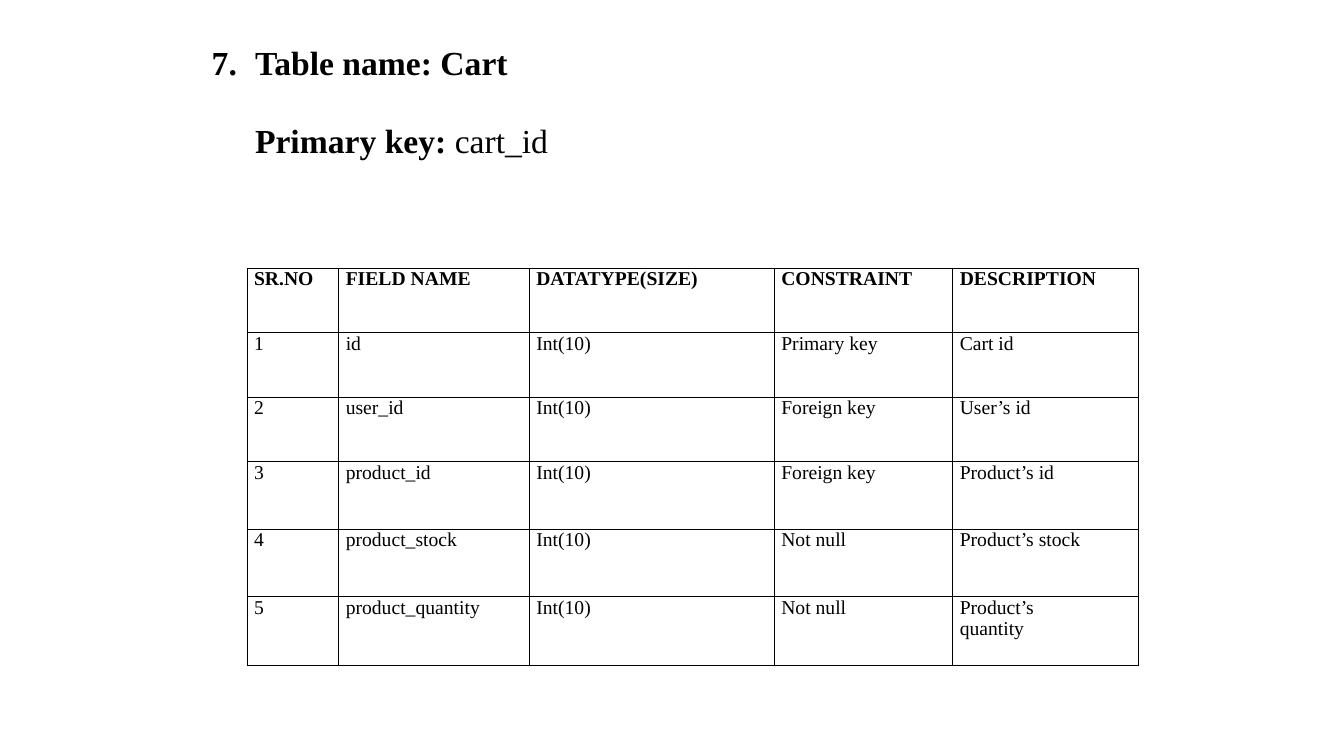
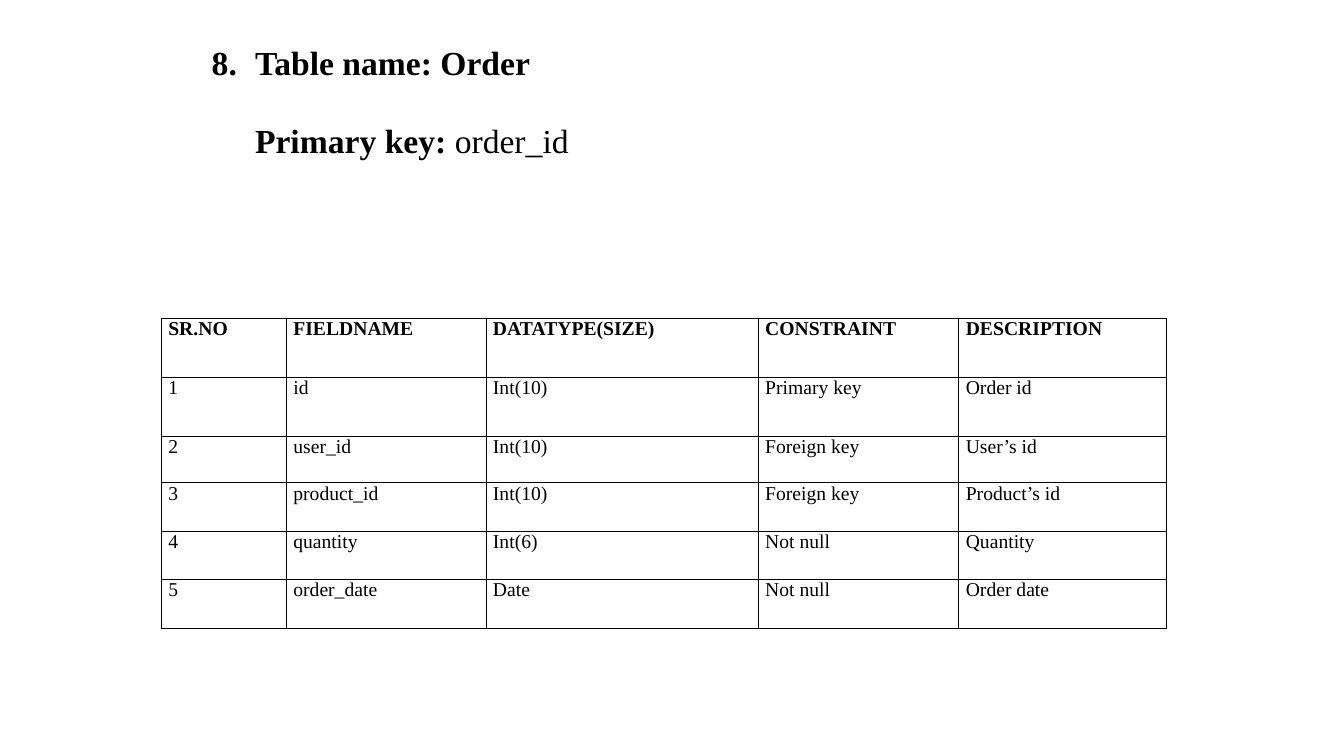
from lxml.etree import SubElement
from pptx import Presentation
from pptx.dml.color import RGBColor
from pptx.enum.text import MSO_ANCHOR, MSO_AUTO_SIZE, PP_ALIGN
from pptx.oxml.ns import qn
from pptx.util import Inches, Pt

BLACK = RGBColor(0, 0, 0)
FONT = "Times New Roman"
PAD = Inches(0.07)
WRAP = Inches(0.48)  # right margin that keeps descriptions narrow
TAB = Inches(0.43)

TABLES = [
    dict(
        num=7, name="Cart", key="cart_id", left=2.45, top=2.66,
        cols=[0.91, 1.89, 2.43, 1.77, 1.84],
        rows=[0.64, 0.64, 0.64, 0.67, 0.67, 0.68],
        cells=[
            ["SR.NO", "FIELD NAME", "DATATYPE(SIZE)", "CONSTRAINT", "DESCRIPTION"],
            ["1", "id", "Int(10)", "Primary key", "Cart id"],
            ["2", "user_id", "Int(10)", "Foreign key", "User’s id"],
            ["3", "product_id", "Int(10)", "Foreign key", "Product’s id"],
            ["4", "product_stock", "Int(10)", "Not null", "Product’s stock"],
            ["5", "product_quantity", "Int(10)", "Not null", "Product’s quantity"],
        ],
    ),
    dict(
        num=8, name="Order", key="order_id", left=1.6, top=3.16,
        cols=[1.24, 1.98, 2.7, 1.99, 2.06],
        rows=[0.58, 0.59, 0.46, 0.48, 0.48, 0.48],
        cells=[
            ["SR.NO", "FIELDNAME", "DATATYPE(SIZE)", "CONSTRAINT", "DESCRIPTION"],
            ["1", "id", "Int(10)", "Primary key", "Order id"],
            ["2", "user_id", "Int(10)", "Foreign key", "User’s id"],
            ["3", "product_id", "Int(10)", "Foreign key", "Product’s id"],
            ["4", "quantity", "Int(6)", "Not null", "Quantity"],
            ["5", "order_date", "Date", "Not null", "Order date"],
        ],
    ),
]


def write(para, text, size=14, bold=False):
    """Add one formatted run to a left-aligned paragraph."""
    para.alignment = PP_ALIGN.LEFT
    run = para.add_run()
    run.text = text
    font = run.font
    font.name, font.size, font.bold = FONT, Pt(size), bold
    font.color.rgb = BLACK


def frame(cell):
    """Give a cell thin black borders and no fill."""
    props = cell._tc.get_or_add_tcPr()
    for side in ("lnL", "lnR", "lnT", "lnB"):
        line = SubElement(props, qn(f"a:{side}"), w=str(Pt(0.58)))
        fill = SubElement(line, qn("a:solidFill"))
        SubElement(fill, qn("a:srgbClr"), val=str(BLACK))
    cell.fill.background()


deck = Presentation()
deck.slide_width, deck.slide_height = Inches(13.33), Inches(7.5)

for item in TABLES:
    slide = deck.slides.add_slide(deck.slide_layouts[5])

    title = slide.shapes.title
    title.left, title.top = Inches(2), Inches(0.12)
    title.width, title.height = Inches(9.57), Inches(1.68)
    box = title.text_frame
    box.auto_size = MSO_AUTO_SIZE.NONE
    box.vertical_anchor = MSO_ANCHOR.TOP
    box.margin_top = Inches(0.3)
    head = box.paragraphs[0]
    write(head, f"{item['num']}.\tTable name: {item['name']}", size=24, bold=True)
    props = head._p.get_or_add_pPr()
    props.set("marL", str(TAB))
    props.set("indent", str(-TAB))
    key = box.add_paragraph()
    key.space_before = Pt(26.7)
    write(key, "Primary key: ", size=24, bold=True)
    write(key, item["key"], size=24)

    cols, rows = item["cols"], item["rows"]
    grid = slide.shapes.add_table(
        len(rows), len(cols), Inches(item["left"]), Inches(item["top"]),
        Inches(sum(cols)), Inches(sum(rows))).table
    grid.first_row = grid.horz_banding = False
    for col, width in zip(grid.columns, cols):
        col.width = Inches(width)
    for r, (row, high) in enumerate(zip(grid.rows, rows)):
        row.height = Inches(high)
        for c, cell in enumerate(row.cells):
            last = r > 0 and c == len(cols) - 1
            cell.margin_left, cell.margin_right = PAD, WRAP if last else 0
            cell.margin_top = cell.margin_bottom = 0
            write(cell.text_frame.paragraphs[0], item["cells"][r][c], bold=r == 0)
            frame(cell)

deck.save("out.pptx")
